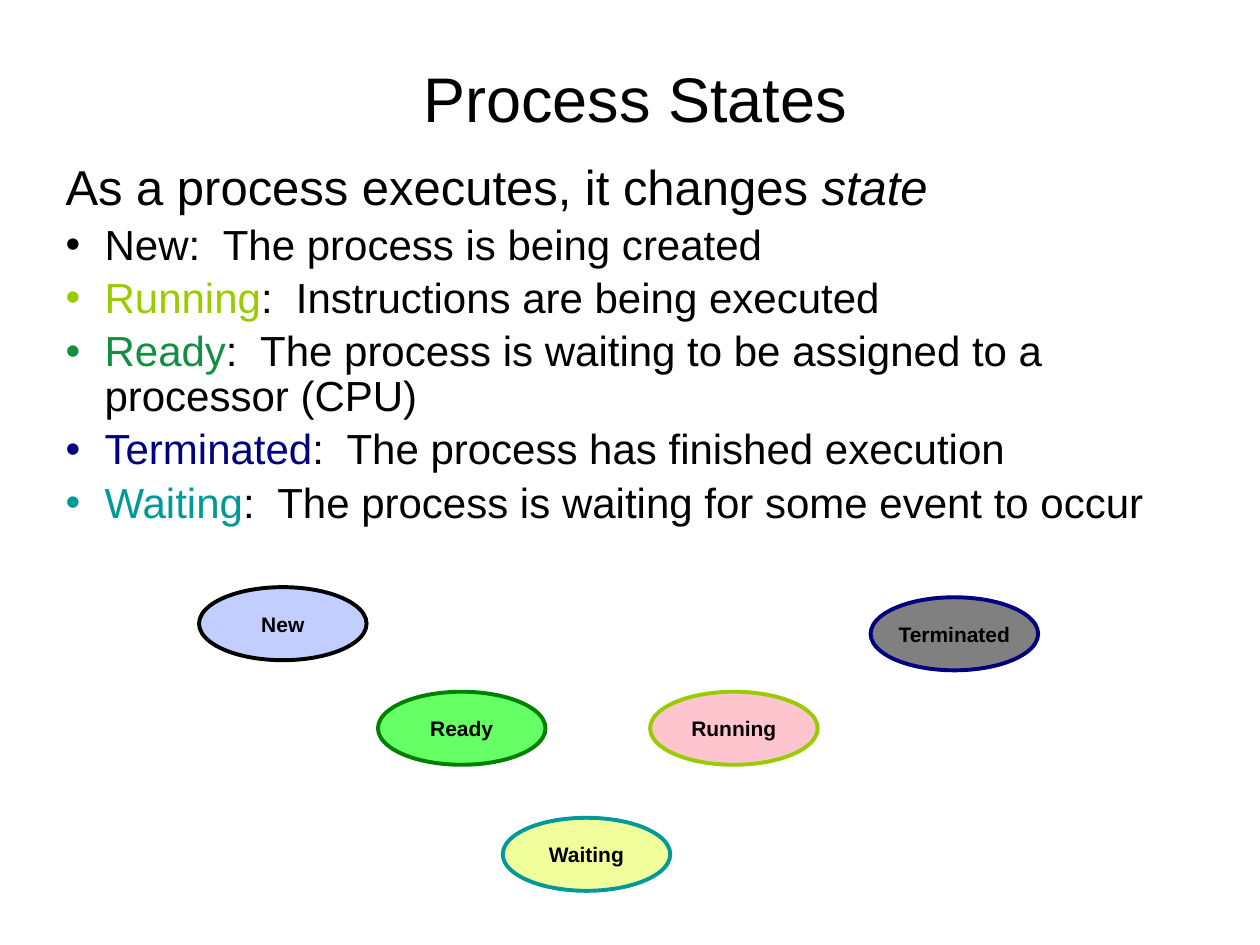
from lxml import etree
from pptx import Presentation, util as u
from pptx.dml.color import RGBColor
from pptx.enum import shapes, text
from pptx.oxml.ns import qn


def tint(code):
    return RGBColor.from_string(code)


def style(run, size, code="000000", bold=False, slant=False):
    font = run.font
    font.name, font.size = "Arial", u.Pt(size)
    font.bold, font.italic = bold, slant
    font.color.rgb = tint(code)


deck = Presentation()
deck.slide_width, deck.slide_height = u.Inches(10), u.Inches(7.5)
page = deck.slides.add_slide(deck.slide_layouts[1])

title, body = page.placeholders
places = [(title, 0.5, 0.3, 9.08, 0.95), (body, 0.42, 1.25, 9.17, 3.25)]
for item, *box in places:
    item.left, item.top, item.width, item.height = map(u.Inches, box)
    item.text_frame.auto_size = text.MSO_AUTO_SIZE.NONE

title.text_frame.text = "Process States"
title.text_frame.vertical_anchor = text.MSO_ANCHOR.MIDDLE
head = title.text_frame.paragraphs[0]
head.alignment = text.PP_ALIGN.CENTER
style(head.runs[0], 36)

lines = [
    (28, [("As a process executes, it changes ", "000000"), ("state", "000000")]),
    (24, [("New:  The process is being created", "000000")]),
    (24, [("Running", "99CC00"), (":  Instructions are being executed", "000000")]),
    (24, [("Ready", "148E42"),
          (":  The process is waiting to be assigned to a processor (CPU)", "000000")]),
    (24, [("Terminated", "000080"), (":  The process has finished execution", "000000")]),
    (24, [("Waiting", "009999"),
          (":  The process is waiting for some event to occur", "000000")]),
]
frame = body.text_frame
for row, (size, parts) in enumerate(lines):
    para = frame.add_paragraph() if row else frame.paragraphs[0]
    para.line_spacing = 0.89
    para.space_before = u.Pt(size * 0.2)
    props = para._p.get_or_add_pPr()
    props.set("marL", str(u.Inches(0.31)))
    props.set("indent", str(-u.Inches(0.31)))
    if row:
        etree.SubElement(props, qn("a:buFont")).set("typeface", "Arial")
        etree.SubElement(props, qn("a:buChar")).set("char", "•")
    else:
        etree.SubElement(props, qn("a:buNone"))
    for words, code in parts:
        run = para.add_run()
        run.text = words
        style(run, size, code, slant=words == "state")

states = [
    ("Ready", 3, 5.49, "66FF66", "008000"),
    ("New", 1.58, 4.66, "C1CEFF", "000000"),
    ("Running", 5.16, 5.49, "FFC5CF", "99CC00"),
    ("Waiting", 3.99, 6.49, "F0FF9B", "009999"),
    ("Terminated", 6.91, 4.74, "808080", "000080"),
]
for name, left, top, fill, edge in states:
    oval = page.shapes.add_shape(
        shapes.MSO_SHAPE.OVAL, *map(u.Inches, (left, top, 1.33, 0.58)))
    oval.shadow.inherit = False
    oval.fill.solid()
    oval.fill.fore_color.rgb = tint(fill)
    oval.line.color.rgb = tint(edge)
    oval.line.width = u.Pt(2.25)
    label = oval.text_frame
    label.text = name
    label.word_wrap = False
    label.vertical_anchor = text.MSO_ANCHOR.MIDDLE
    label.paragraphs[0].alignment = text.PP_ALIGN.CENTER
    style(label.paragraphs[0].runs[0], 12, bold=True)

deck.save("out.pptx")
